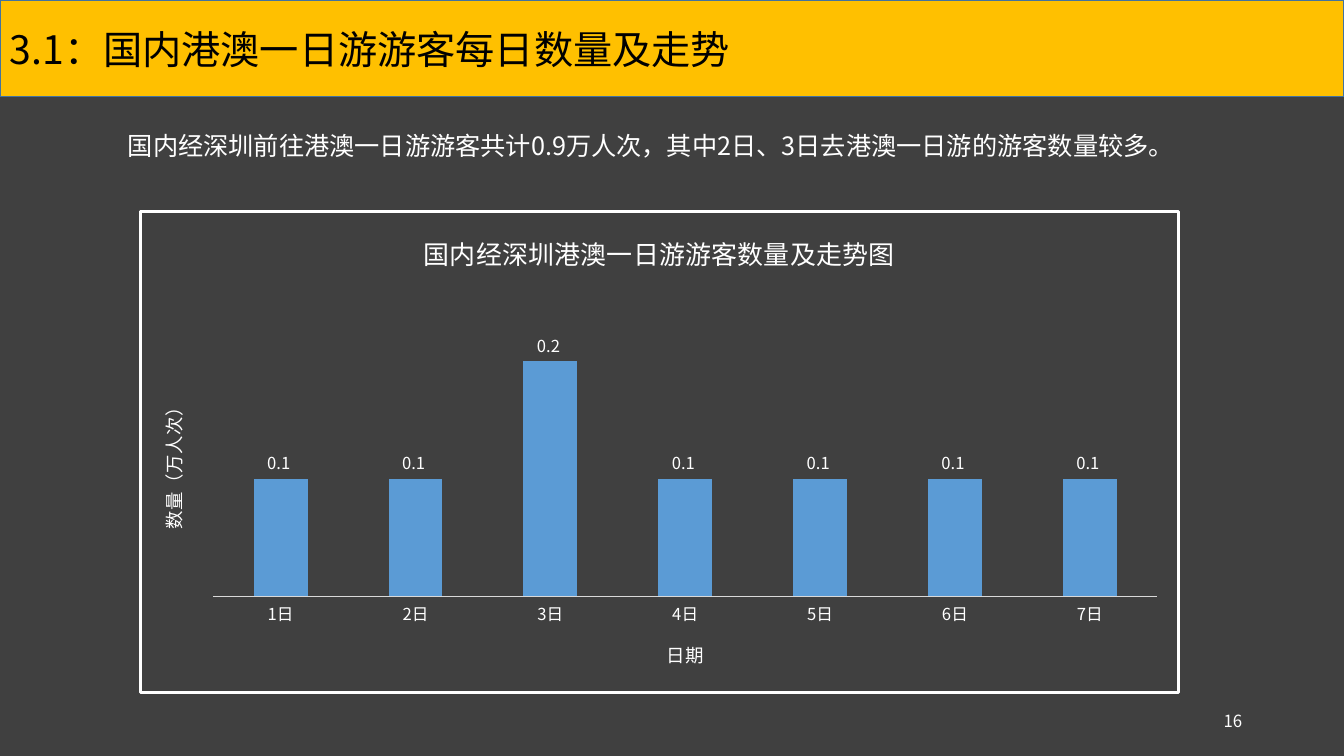
from lxml import etree
from pptx import Presentation
from pptx.chart.data import CategoryChartData
from pptx.dml.color import RGBColor
from pptx.enum.chart import XL_CHART_TYPE as ChartType, XL_LABEL_POSITION as LabelPosition, XL_TICK_MARK as TickMark
from pptx.enum.shapes import MSO_SHAPE as Shape
from pptx.enum.text import MSO_ANCHOR as Anchor, PP_ALIGN as Align
from pptx.oxml import parse_xml
from pptx.oxml.ns import nsdecls, qn
from pptx.util import Inches, Pt

COLORS = {
    "background": "404040",
    "banner": "FFC000",
    "banner_line": "43739E",
    "ink": "000000",
    "light": "FFFFFF",
    "bar": "5B9BD5",
    "axis": "D9D9D9",
}


def color(name):
    return RGBColor.from_string(COLORS[name])


class SlideBuilder:
    font_name = "Noto Sans CJK SC"

    def __init__(self, page):
        self.page = page
        page.background.fill.solid()
        page.background.fill.fore_color.rgb = color("background")

    def style_font(self, font, size, tint="light"):
        for name, value in {"name": self.font_name, "size": Pt(size), "bold": False}.items():
            setattr(font, name, value)
        font.color.rgb = color(tint)

    def add_east_asian_font(self, element):
        for latin in element.iter(qn("a:latin")):
            east_asian = etree.Element(qn("a:ea"), typeface=self.font_name)
            latin.addnext(east_asian)

    def fill_text(self, box, text, size, tint="light", indent=0, frame_format=None, para_format=None):
        frame = box.text_frame
        frame.word_wrap = True
        for name, value in (frame_format or {}).items():
            setattr(frame, name, value)
        para = frame.paragraphs[0]
        for name, value in (para_format or {}).items():
            setattr(para, name, value)
        if indent:
            para._p.get_or_add_pPr().set("indent", str(Inches(indent)))
        span = para.add_run()
        span.text = text
        self.style_font(span.font, size, tint)
        self.add_east_asian_font(box.element)

    def banner(self, text, left, top, width, height):
        box = self.page.shapes.add_shape(
            Shape.RECTANGLE, *map(Inches, (left, top, width, height)))
        box.shadow.inherit = False
        box.fill.solid()
        box.fill.fore_color.rgb = color("banner")
        box.line.color.rgb = color("banner_line")
        box.line.width = Pt(1)
        self.fill_text(box, text, 28, "ink", frame_format={"vertical_anchor": Anchor.MIDDLE},
                       para_format={"alignment": Align.LEFT})

    def text(self, text, size, left, top, width, height, **formats):
        box = self.page.shapes.add_textbox(*map(Inches, (left, top, width, height)))
        self.fill_text(box, text, size, **formats)

    def chart_title(self, title, text, size, rotation=0):
        frame = title.text_frame
        frame.text = text
        self.style_font(frame.paragraphs[0].runs[0].font, size)
        title.element.find(".//" + qn("a:bodyPr")).set("rot", str(rotation * 60000))

    def chart_frame(self, chart):
        chart.element.find(qn("c:chart")).addnext(parse_xml(
            f'<c:spPr {nsdecls("c", "a")}><a:noFill/><a:ln w="{Pt(2.25)}"><a:solidFill>'
            f'<a:srgbClr val="{COLORS["light"]}"/></a:solidFill></a:ln></c:spPr>'))

    def plot_layout(self, chart, x, y, w, h):
        area = chart.element.find(".//" + qn("c:plotArea"))
        for old in area.findall(qn("c:layout")):
            area.remove(old)
        places = "".join(f'<c:{key} val="{value}"/>' for key, value in
                         {"x": x, "y": y, "w": w, "h": h}.items())
        area.insert(0, parse_xml(
            f'<c:layout {nsdecls("c")}><c:manualLayout><c:layoutTarget val="inner"/>'
            f'<c:xMode val="edge"/><c:yMode val="edge"/>{places}</c:manualLayout></c:layout>'))

    def column_chart(self, title, category_title, value_title, days, left, top, width, height):
        data = CategoryChartData()
        data.categories = list(days)
        data.add_series("Series 1", list(days.values()))
        chart = self.page.shapes.add_chart(
            ChartType.COLUMN_CLUSTERED, *map(Inches, (left, top, width, height)), data).chart
        self.style_font(chart.font, 10, "ink")
        chart.has_legend = False
        self.chart_title(chart.chart_title, title, 18.6)
        self.chart_frame(chart)
        self.plot_layout(chart, 0.07, 0.19, 0.91, 0.61)

        days_axis = chart.category_axis
        days_axis.major_tick_mark = TickMark.NONE
        self.style_font(days_axis.tick_labels.font, 11.9)
        days_axis.format.line.color.rgb = color("axis")
        days_axis.format.line.width = Pt(0.75)
        self.chart_title(days_axis.axis_title, category_title, 13.2)

        value_axis = chart.value_axis
        for name, value in {"visible": False, "has_major_gridlines": False,
                            "minimum_scale": 0, "maximum_scale": 0.25}.items():
            setattr(value_axis, name, value)
        self.chart_title(value_axis.axis_title, value_title, 13.2, -90)

        plot = chart.plots[0]
        plot.gap_width = 150
        plot.vary_by_categories = False
        series = plot.series[0]
        series.format.fill.solid()
        series.format.fill.fore_color.rgb = color("bar")
        labels = series.data_labels
        for name, value in {"show_value": True, "position": LabelPosition.OUTSIDE_END,
                            "number_format": "0.0_ ", "number_format_is_linked": False}.items():
            setattr(labels, name, value)
        self.style_font(labels.font, 11.9)
        self.add_east_asian_font(chart.element)


def main():
    deck = Presentation()
    deck.slide_width = Inches(13.33)
    deck.slide_height = Inches(7.5)
    builder = SlideBuilder(deck.slides.add_slide(deck.slide_layouts[6]))
    builder.banner("3.1：国内港澳一日游游客每日数量及走势", 0, 0, 13.33, 0.96)
    amounts = [0.1, 0.1, 0.2, 0.1, 0.1, 0.1, 0.1]
    days = {f"{day}日": amount for day, amount in enumerate(amounts, 1)}
    builder.column_chart("国内经深圳港澳一日游游客数量及走势图", "日期", "数量（万人次）",
                         days, 1.38, 2.08, 10.32, 4.81)
    builder.text("国内经深圳前往港澳一日游游客共计0.9万人次，其中2日、3日去港澳一日游的游客数量较多。",
                 18, 0.78, 1.09, 12.13, 0.56, indent=0.39,
                 para_format={"alignment": Align.JUSTIFY, "line_spacing": 1.5})
    builder.text("16", 12, 9.42, 6.95, 3, 0.4, frame_format={"vertical_anchor": Anchor.MIDDLE},
                 para_format={"alignment": Align.RIGHT})
    deck.save("out.pptx")


if __name__ == "__main__":
    main()
